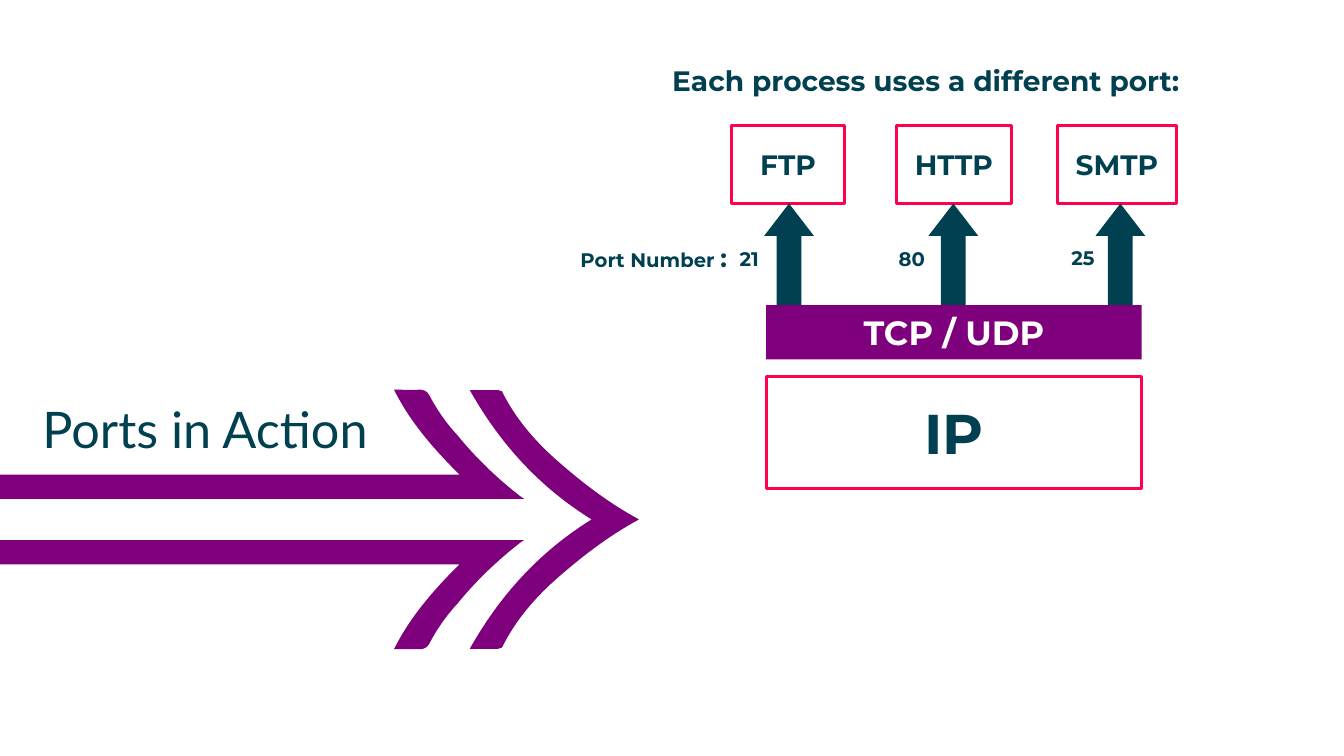
from lxml.etree import SubElement
from pptx import Presentation
from pptx.dml.color import RGBColor
from pptx.enum.shapes import MSO_SHAPE as Kind
from pptx.enum.text import MSO_ANCHOR as Anchor, MSO_AUTO_SIZE as Fit, PP_ALIGN as Align
from pptx.oxml.ns import qn
from pptx.util import Cm, Pt

# Content
TITLE = "Ports in Action"
HEAD = "Each process uses a different port:"
PORT = [("Port Number ", 14), (":", 18)]
# name, port, box left, box top, box width, arrow left, port left, port top
PROCS = [
    ("FTP", "21", 18.44, 3.17, 2.84, 19.26, 18.39, 6.17),
    ("HTTP", "80", 22.59, 3.17, 2.9, 23.4, 22.4, 6.17),
    ("SMTP", "25", 26.65, 3.16, 3, 27.61, 26.75, 6.15),
]
# name, top, height, size, fill, line, text colour
LAYERS = [
    ("TCP / UDP", 7.69, 1.37, 24, "purple", None, "white"),
    ("IP", 9.49, 2.82, 40, "white", "pink", "teal"),
]
HEX = {"teal": "004050", "purple": "7E007C", "pink": "FF004C", "white": "FFFFFF"}

# Outlines in cm: one point is a line, three points are a curve
STEM = [
    [(13.21, 12.57)], [(0, 12.57)], [(0, 11.96)], [(11.58, 11.96)],
    [(10.92, 11.3), (10.34, 10.64), (9.93, 9.82)],
    [(10.16, 9.82), (10.36, 9.83), (10.59, 9.82)],
    [(10.67, 9.82), (10.77, 9.86), (10.82, 9.96)],
    [(11, 10.31), (11.25, 10.67), (11.53, 10.97)],
    [(12.01, 11.56), (12.55, 12.07), (13.13, 12.52)],
]
TIP = [
    [(14.91, 13.09)],
    [(13.59, 12.27), (12.6, 11.18), (11.84, 9.83)],
    [(12.55, 9.83)],
    [(12.6, 9.83), (12.62, 9.83), (12.65, 9.86)],
    [(13, 10.57), (13.51, 11.15), (14.1, 11.66)],
    [(14.71, 12.19), (15.34, 12.67), (16.05, 13.06)],
    [(16.1, 13.09)],
]
AXIS = 13.09


def color(name):
    return RGBColor.from_string(HEX[name])


def flip(parts):
    return [[(x, 2 * AXIS - y) for x, y in part] for part in parts]


def back(parts):
    """Walk an outline from its end to its start, without the end point."""
    return [
        [*part[-2::-1], prev[-1]]
        for prev, part in zip(parts[-2::-1], parts[:0:-1])
    ]


def paint(shape, fill, line=None):
    shape.shadow.inherit = False
    shape.fill.solid()
    shape.fill.fore_color.rgb = color(fill)
    if line:
        shape.line.color.rgb = color(line)
        shape.line.width = Pt(2)
    else:
        shape.line.fill.background()


def style(font, size, tint="teal", face="Montserrat", bold=True):
    font.name, font.size, font.bold = face, Pt(size), bold
    font.color.rgb = color(tint)


def draw(shapes, parts):
    parts = [[(Cm(x), Cm(y)) for x, y in part] for part in parts]
    ends = [part[-1] for part in parts]
    pen = shapes.build_freeform(*ends[0])
    pen.add_line_segments(ends[1:], close=True)
    shape = pen.convert_to_shape()
    paint(shape, "purple")
    # Bend the lines that are curves
    lines = list(shape._element.iter(qn("a:lnTo")))
    for line, part in zip(lines, parts[1:]):
        if len(part) == 3:
            line.tag = qn("a:cubicBezTo")
            line.remove(line[0])
            for x, y in part:
                spot = {"x": str(x - shape.left), "y": str(y - shape.top)}
                SubElement(line, qn("a:pt"), spot)


def box(shapes, text, place, size, fill, line, tint="teal"):
    rect = shapes.add_shape(Kind.RECTANGLE, *map(Cm, place))
    paint(rect, fill, line)
    frame = rect.text_frame
    frame.word_wrap = False
    frame.vertical_anchor = Anchor.MIDDLE
    para = frame.paragraphs[0]
    para.text, para.alignment = text, Align.CENTER
    style(para.font, size, tint)


def label(shapes, runs, place):
    frame = shapes.add_textbox(*map(Cm, place)).text_frame
    frame.word_wrap = True
    para = frame.paragraphs[0]
    para.line_spacing = 0.9
    for text, size in runs:
        run = para.add_run()
        run.text = text
        style(run.font, size)


def settle(holder, text, place, anchor):
    holder.left, holder.top, holder.width, holder.height = map(Cm, place)
    frame = holder.text_frame
    frame.margin_left = frame.margin_right = frame.margin_top = frame.margin_bottom = 0
    frame.auto_size, frame.vertical_anchor = Fit.NONE, anchor
    frame.word_wrap = True
    para = frame.paragraphs[0]
    para.text, para.alignment = text, Align.LEFT
    para.space_before = Pt(0)
    return para


def main():
    deck = Presentation()
    deck.slide_width, deck.slide_height = Cm(33.87), Cm(19.05)
    slide = deck.slides.add_slide(deck.slide_layouts[1])
    shapes = slide.shapes

    # Title and heading
    para = settle(shapes.title, TITLE, (1.07, 3.45, 10.26, 8.1), Anchor.BOTTOM)
    style(para.font, 36, face="Lato", bold=False)
    para = settle(slide.placeholders[1], HEAD, (16.94, 1.6, 13.56, 1.12), Anchor.TOP)
    props = para._p.get_or_add_pPr()
    props.set("marL", "0")
    props.set("indent", "0")
    SubElement(props, qn("a:buNone"))
    style(para.font, 20)

    # Large arrow, mirrored about its axis
    for parts in (STEM, TIP + back(flip(TIP)), flip(STEM)):
        draw(shapes, parts)

    # Processes, arrows and port numbers
    for name, port, left, top, width, shaft, mark, level in PROCS:
        box(shapes, name, (left, top, width, 1.96), 20, "white", "pink")
        arrow = shapes.add_shape(Kind.UP_ARROW, Cm(shaft), Cm(5.13), Cm(1.25), Cm(3.25))
        arrow.adjustments[1] = 0.65
        paint(arrow, "teal")
        label(shapes, [(port, 14)], (mark, level, 1.25, 0.79))
    label(shapes, PORT, (14.38, 6.07, 4.34, 0.94))

    # Protocol layers
    for name, top, height, size, fill, line, tint in LAYERS:
        box(shapes, name, (19.31, top, 9.46, height), size, fill, line, tint)

    deck.save("out.pptx")


if __name__ == "__main__":
    main()
